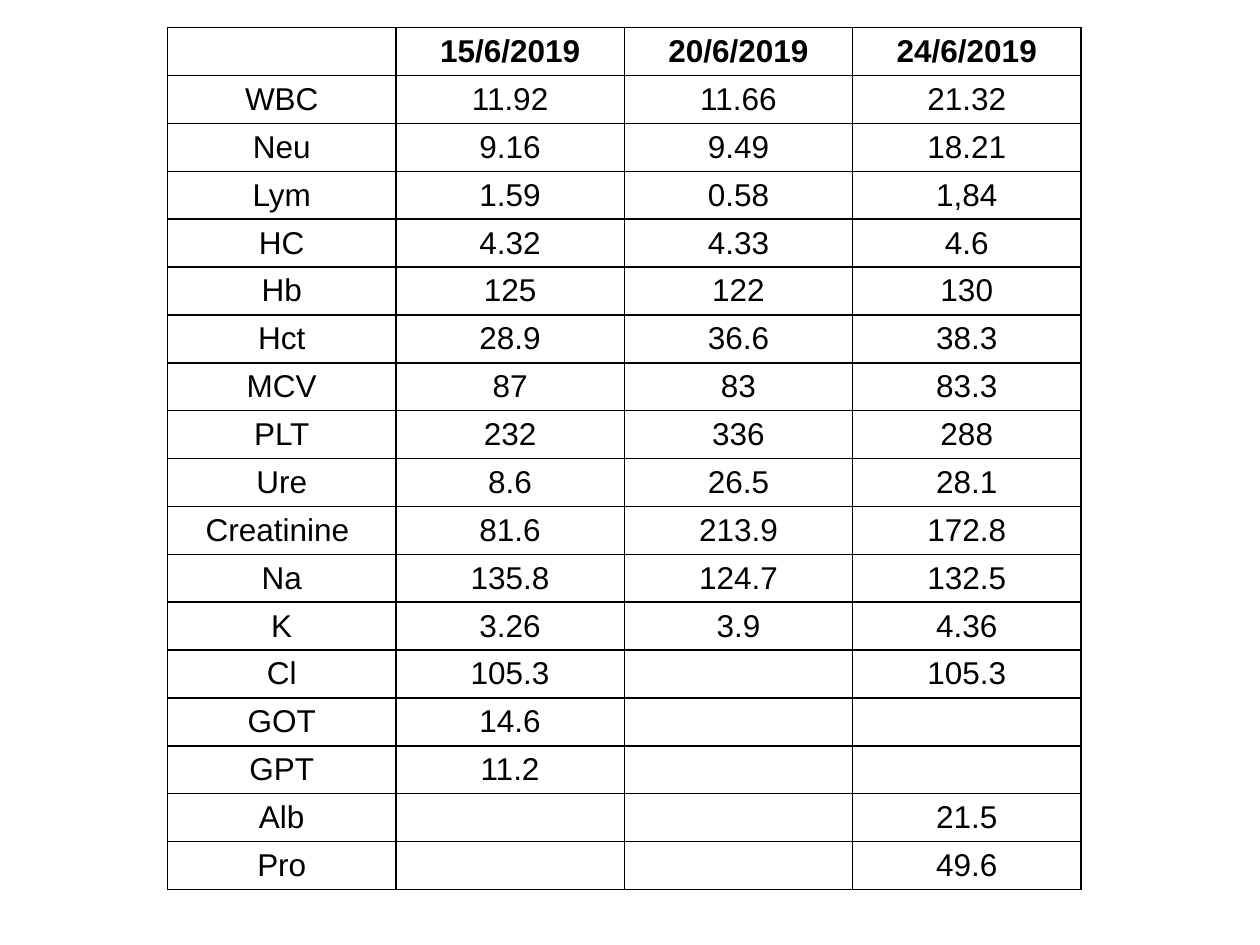
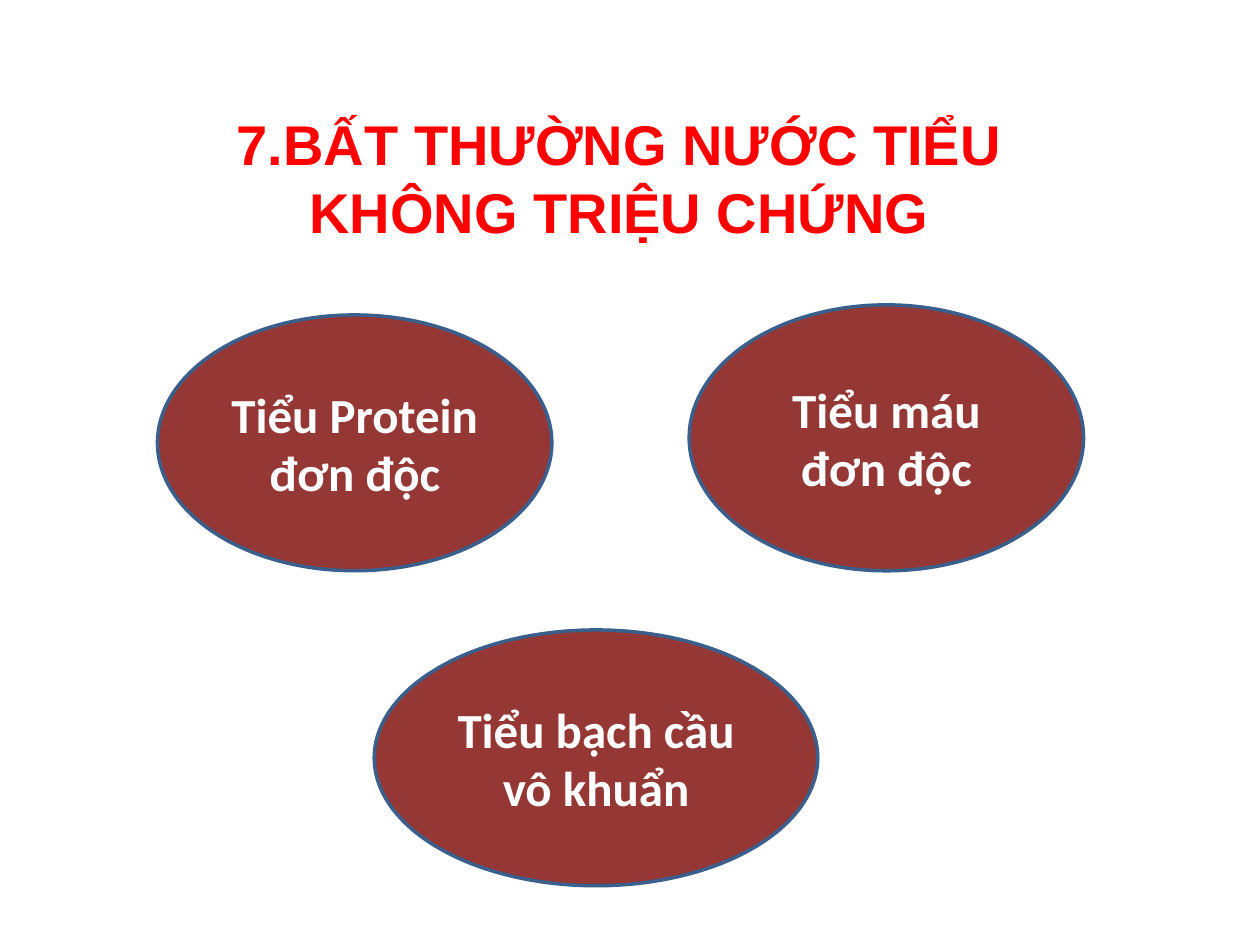
from lxml import etree
from pptx import Presentation
from pptx.dml.color import RGBColor
from pptx.enum.shapes import MSO_SHAPE
from pptx.enum.text import MSO_ANCHOR, PP_ALIGN
from pptx.oxml.ns import qn
from pptx.util import Inches, Pt

OVAL = MSO_SHAPE.OVAL
MIDDLE = MSO_ANCHOR.MIDDLE
CENTER = PP_ALIGN.CENTER

BLACK, WHITE, RED = "000000", "FFFFFF", "FF0000"
MAROON, BLUE = "953735", "3A5F8C"


def rgb(hex_colour):
    return RGBColor.from_string(hex_colour)


def write(frame, text, colour, **font_format):
    """Put one centred, formatted paragraph in a text frame."""
    frame.word_wrap = True
    frame.vertical_anchor = MIDDLE
    paragraph = frame.paragraphs[0]
    paragraph.alignment = CENTER
    run = paragraph.add_run()
    run.text = text
    run.font.color.rgb = rgb(colour)
    for attribute, value in font_format.items():
        setattr(run.font, attribute, value)


prs = Presentation()
prs.slide_width, prs.slide_height = Inches(10), Inches(7.5)
title_only, blank = prs.slide_layouts[5], prs.slide_layouts[6]

# Slide 1: blood test results by date
results = [
    ("", "15/6/2019", "20/6/2019", "24/6/2019"),
    ("WBC", "11.92", "11.66", "21.32"),
    ("Neu", "9.16", "9.49", "18.21"),
    ("Lym", "1.59", "0.58", "1,84"),
    ("HC", "4.32", "4.33", "4.6"),
    ("Hb", "125", "122", "130"),
    ("Hct", "28.9", "36.6", "38.3"),
    ("MCV", "87", "83", "83.3"),
    ("PLT", "232", "336", "288"),
    ("Ure", "8.6", "26.5", "28.1"),
    ("Creatinine ", "81.6", "213.9", "172.8"),
    ("Na", "135.8", "124.7", "132.5"),
    ("K", "3.26", "3.9", "4.36"),
    ("Cl", "105.3", "", "105.3"),
    ("GOT", "14.6", "", ""),
    ("GPT", "11.2", "", ""),
    ("Alb", "", "", "21.5"),
    ("Pro", "", "", "49.6"),
]
row_height = 0.38
blood_slide = prs.slides.add_slide(blank)
blood_tests = blood_slide.shapes.add_table(
    len(results), len(results[0]), Inches(1.33), Inches(0.22),
    Inches(7.25), Inches(row_height * len(results))).table
blood_tests.first_row = blood_tests.horz_banding = False

for row, values in enumerate(results):
    blood_tests.rows[row].height = Inches(row_height)
    for column, value in enumerate(values):
        cell = blood_tests.cell(row, column)
        cell.margin_top = cell.margin_bottom = Inches(0.03)
        cell.vertical_anchor = MIDDLE
        # Borders come before the fill in the cell properties
        properties = cell._tc.get_or_add_tcPr()
        for side in ("a:lnL", "a:lnR", "a:lnT", "a:lnB"):
            border = etree.SubElement(properties, qn(side), w=str(Pt(1)))
            line_fill = etree.SubElement(border, qn("a:solidFill"))
            etree.SubElement(line_fill, qn("a:srgbClr"), val=BLACK)
        cell.fill.background()
        if value:
            write(cell.text_frame, value, BLACK,
                  name="Arial", size=Pt(18), bold=row == 0)

# Slide 2: title
urine_slide = prs.slides.add_slide(title_only)
title = urine_slide.shapes.title
title.left, title.top = Inches(0.78), Inches(0.78)
title.width, title.height = Inches(8.17), Inches(1.25)
title.text_frame.margin_left = Inches(0.4)
title.text_frame.margin_right = Inches(0.3)
write(title.text_frame, "7.BẤT THƯỜNG NƯỚC TIỂU KHÔNG TRIỆU CHỨNG", RED,
      name="Arial", size=Pt(32), bold=True)

# Slide 2: the three urinary abnormalities
abnormalities = [
    ("Tiểu Protein đơn độc", 1.25, 2.5, 3.13, 2.03),
    ("Tiểu máu đơn độc", 5.47, 2.42, 3.13, 2.11),
    ("Tiểu bạch cầu vô khuẩn", 2.97, 5, 3.52, 2.03),
]
for label, *place in abnormalities:
    abnormality = urine_slide.shapes.add_shape(OVAL, *map(Inches, place))
    abnormality.shadow.inherit = False
    abnormality.fill.solid()
    abnormality.fill.fore_color.rgb = rgb(MAROON)
    abnormality.line.color.rgb = rgb(BLUE)
    abnormality.line.width = Pt(2)
    write(abnormality.text_frame, label, WHITE,
          name="Calibri", size=Pt(28), bold=True)

prs.save("out.pptx")
